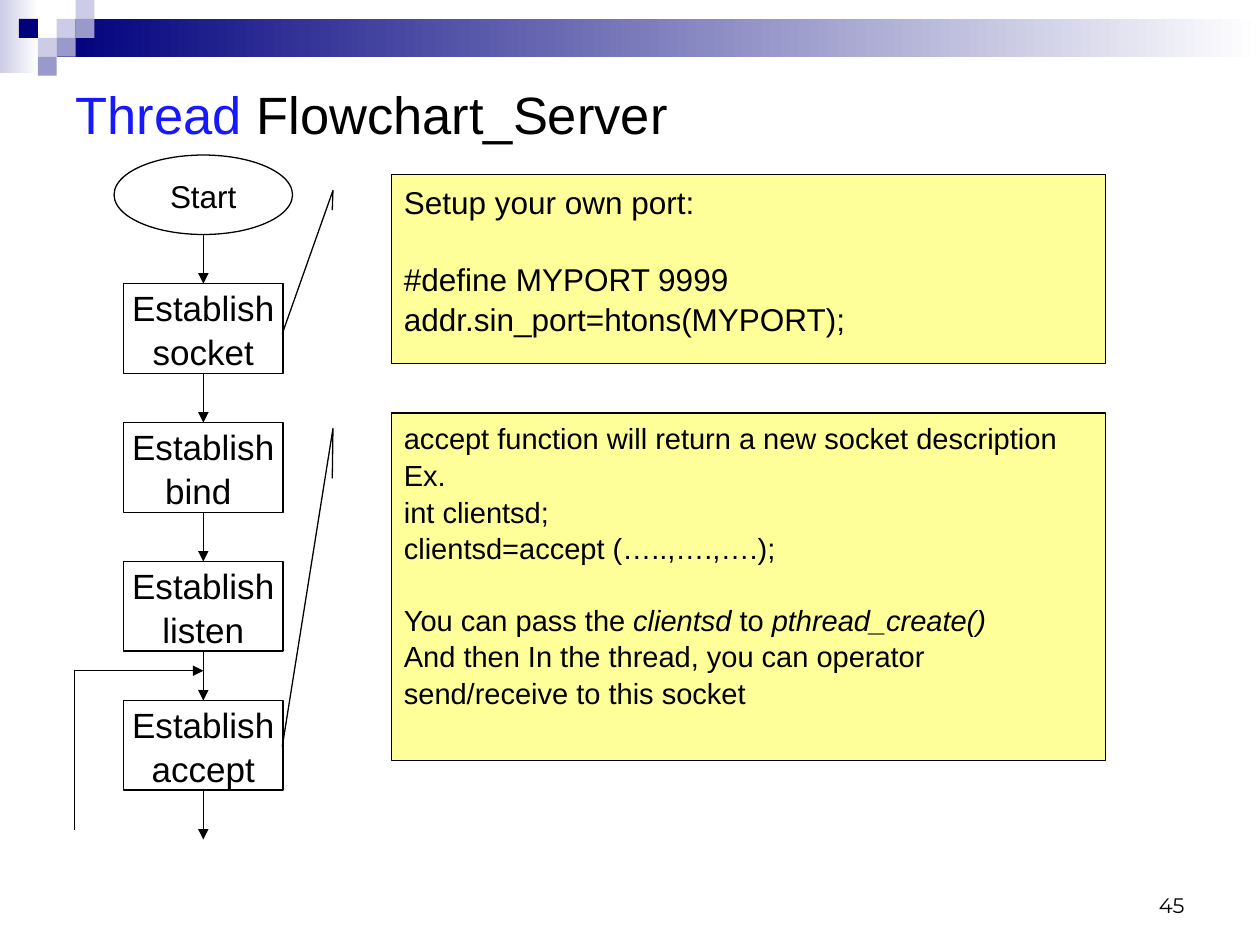
"""Builds the thread flowchart slide for a socket server."""
from lxml import etree
from pptx import Presentation
from pptx.dml.color import RGBColor
from pptx.enum.shapes import MSO_CONNECTOR, MSO_SHAPE
from pptx.enum.text import MSO_ANCHOR, PP_ALIGN
from pptx.oxml.ns import qn
from pptx.util import Pt

BLACK = RGBColor(0x00, 0x00, 0x00)
WHITE = RGBColor(0xFF, 0xFF, 0xFF)
NAVY = RGBColor(0x00, 0x00, 0x7D)
LAVENDER = RGBColor(0xCC, 0xCC, 0xE6)
PERIWINKLE = RGBColor(0x99, 0x99, 0xCC)
BLUE = RGBColor(0x18, 0x18, 0xFF)
YELLOW = RGBColor(0xFF, 0xFF, 0x99)

RECTANGLE = MSO_SHAPE.RECTANGLE
OVAL = MSO_SHAPE.OVAL
PROCESS = MSO_SHAPE.FLOWCHART_PROCESS
CALLOUT = MSO_SHAPE.LINE_CALLOUT_2
STRAIGHT = MSO_CONNECTOR.STRAIGHT
LEFT, CENTER, RIGHT = PP_ALIGN.LEFT, PP_ALIGN.CENTER, PP_ALIGN.RIGHT
TOP, MIDDLE, BOTTOM = MSO_ANCHOR.TOP, MSO_ANCHOR.MIDDLE, MSO_ANCHOR.BOTTOM


class FlowSlide:
    """Holds the slide and the style its elements share."""

    font = "Arial"
    line_width = Pt(0.75)
    line_spacing = 1.05

    def __init__(self, slide):
        self.slide = slide

    def style(self, paragraph, size, align, font=None):
        paragraph.alignment = align
        paragraph.font.name = font or self.font
        paragraph.font.size = Pt(size)
        paragraph.font.color.rgb = BLACK

    def title(self, accent, rest, left, top, width, height):
        title = self.slide.shapes.title
        title.left, title.top = Pt(left), Pt(top)
        title.width, title.height = Pt(width), Pt(height)
        title.text_frame.vertical_anchor = MIDDLE
        heading = title.text_frame.paragraphs[0]
        self.style(heading, 30, LEFT)
        first = heading.add_run()
        first.text = accent
        first.font.color.rgb = BLUE
        heading.add_run().text = rest

    def block(self, left, top, width, height, color, fade_to=None):
        block = self.slide.shapes.add_shape(
            RECTANGLE, Pt(left), Pt(top), Pt(width), Pt(height))
        block.shadow.inherit = False
        block.line.fill.background()
        if fade_to is None:
            block.fill.solid()
            block.fill.fore_color.rgb = color
        else:
            block.fill.gradient()
            block.fill.gradient_angle = 0
            for stop, shade in zip(block.fill.gradient_stops, (color, fade_to)):
                stop.color.rgb = shade

    def outlined(self, kind, left, top, width, height, fill):
        outlined = self.slide.shapes.add_shape(
            kind, Pt(left), Pt(top), Pt(width), Pt(height))
        outlined.shadow.inherit = False
        outlined.fill.solid()
        outlined.fill.fore_color.rgb = fill
        outlined.line.color.rgb = BLACK
        outlined.line.width = self.line_width
        return outlined

    def node(self, kind, lines, left, top, width, height, size):
        frame = self.outlined(kind, left, top, width, height, WHITE).text_frame
        frame.word_wrap = False
        frame.vertical_anchor = MIDDLE
        for index, line in enumerate(lines):
            paragraph = frame.add_paragraph() if index else frame.paragraphs[0]
            paragraph.text = line
            paragraph.line_spacing = self.line_spacing
            self.style(paragraph, size, CENTER)

    def callout(self, groups, left, top, width, height, size, bend, tip):
        callout = self.outlined(CALLOUT, left, top, width, height, YELLOW)
        for index, value in enumerate((0.188, -0.083, bend, -0.082, tip, -0.153)):
            callout.adjustments[index] = value
        frame = callout.text_frame
        frame.word_wrap = True
        frame.vertical_anchor = TOP
        paragraph = frame.paragraphs[0]
        for group_index, group in enumerate(groups):
            for line_index, line in enumerate(group):
                if group_index or line_index:
                    paragraph = frame.add_paragraph()
                if group_index and not line_index:
                    paragraph.space_before = Pt(round(size * 1.2, 1))
                paragraph.line_spacing = self.line_spacing
                self.style(paragraph, size, LEFT)
                for run_index, words in enumerate(line):
                    run = paragraph.add_run()
                    run.text = words
                    if run_index % 2:
                        run.font.italic = True

    def line(self, x1, y1, x2, y2, arrow=True):
        line = self.slide.shapes.add_connector(
            STRAIGHT, Pt(x1), Pt(y1), Pt(x2), Pt(y2))
        line.line.color.rgb = BLACK
        line.line.width = self.line_width
        if arrow:
            etree.SubElement(line.line._get_or_add_ln(), qn("a:tailEnd"), type="triangle")
        etree.SubElement(line._element.spPr, qn("a:effectLst"))

    def page_number(self, number, left, top, width, height):
        frame = self.slide.shapes.add_textbox(
            Pt(left), Pt(top), Pt(width), Pt(height)).text_frame
        frame.word_wrap = True
        frame.vertical_anchor = BOTTOM
        frame.paragraphs[0].text = number
        self.style(frame.paragraphs[0], 12, RIGHT, "Montserrat")


def main():
    presentation = Presentation()
    presentation.slide_width, presentation.slide_height = Pt(720), Pt(540)
    flow = FlowSlide(presentation.slides.add_slide(presentation.slide_layouts[5]))

    tile = 10.8
    flow.block(0, 0, 22, 42, LAVENDER, WHITE)
    flow.block(3 * tile, tile, 720 - 3 * tile, 2 * tile, NAVY, WHITE)
    for column, row, color in (
            (3, 1, LAVENDER), (4, 0, LAVENDER), (4, 1, PERIWINKLE), (2, 2, LAVENDER),
            (1, 1, NAVY), (3, 2, PERIWINKLE), (2, 3, PERIWINKLE)):
        flow.block(column * tile, row * tile, tile, tile, color)

    flow.title("Thread", " Flowchart_Server", 36, 36, 648, 58.3)

    axis, step_width, step_height = 116.2, 91, 51.2
    first_step, pitch = 162.1, 79.4
    gap = pitch - step_height
    flow.node(OVAL, ["Start"], axis - 51, 88.6, 102, 45.4, 18)
    flow.line(axis, first_step - gap, axis, first_step)
    for index, action in enumerate(("socket", "bind ", "listen", "accept")):
        top = first_step + index * pitch
        bottom = top + step_height
        flow.node(PROCESS, ["Establish", action],
                  axis - step_width / 2, top, step_width, step_height, 20)
        flow.line(axis, bottom, axis, bottom + gap)

    loop_left, loop_top = 42.5, 383.3
    flow.line(loop_left, loop_top, axis, loop_top)
    flow.line(loop_left, loop_top, loop_left, 474.3, arrow=False)

    port_notes = [
        [["Setup your own port:"]],
        [["#define MYPORT 9999"], ["addr.sin_port=htons(MYPORT);"]],
    ]
    accept_notes = [
        [["accept function will return a new socket description"], ["Ex."],
         ["int clientsd;"], ["clientsd=accept (…..,….,….);"]],
        [["You can pass the ", "clientsd", " to ", "pthread_create()"],
         ["And then In the thread, you can operator send/receive to this socket"]],
    ]
    flow.callout(port_notes, 223.7, 99.8, 408, 108, 18, 0.084, 0.842)
    flow.callout(accept_notes, 223.7, 236, 408, 198.6, 16.6, 0.045, 0.96)

    flow.page_number("45", 516, 492, 168, 36)
    presentation.save("out.pptx")


if __name__ == "__main__":
    main()
